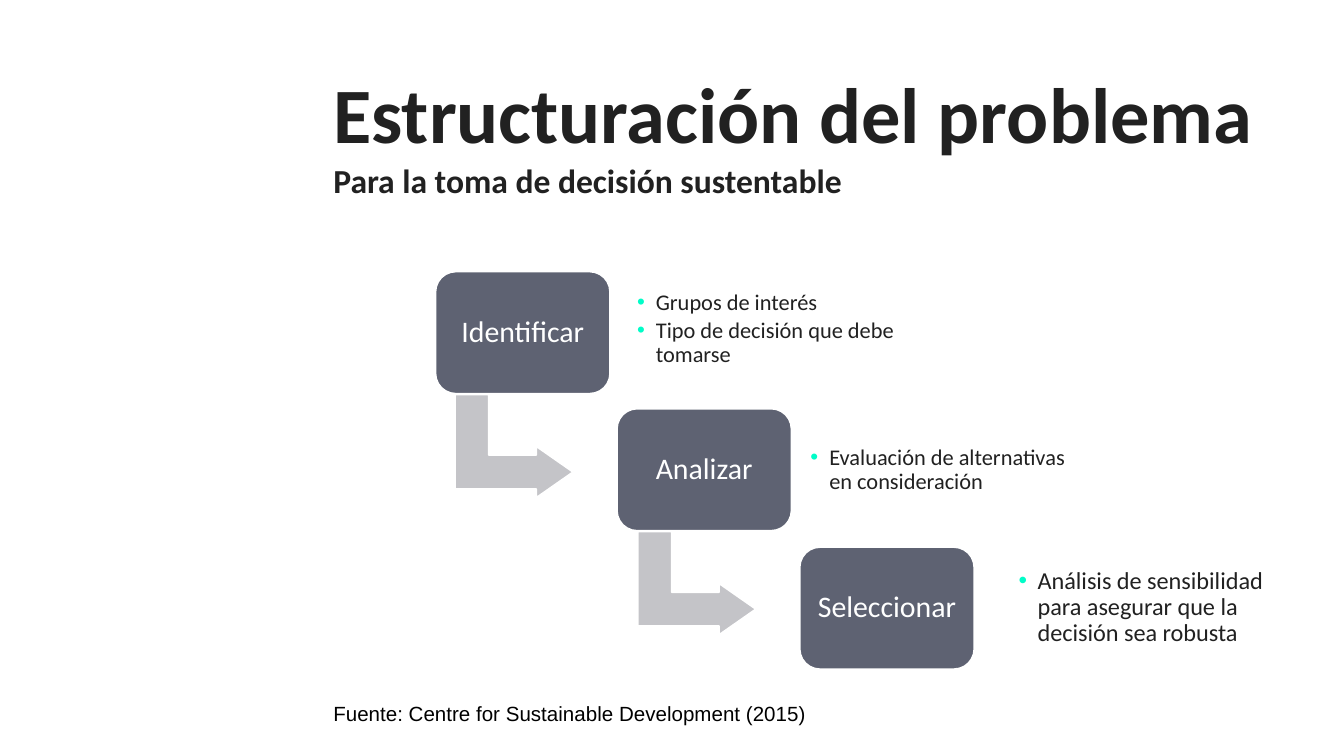
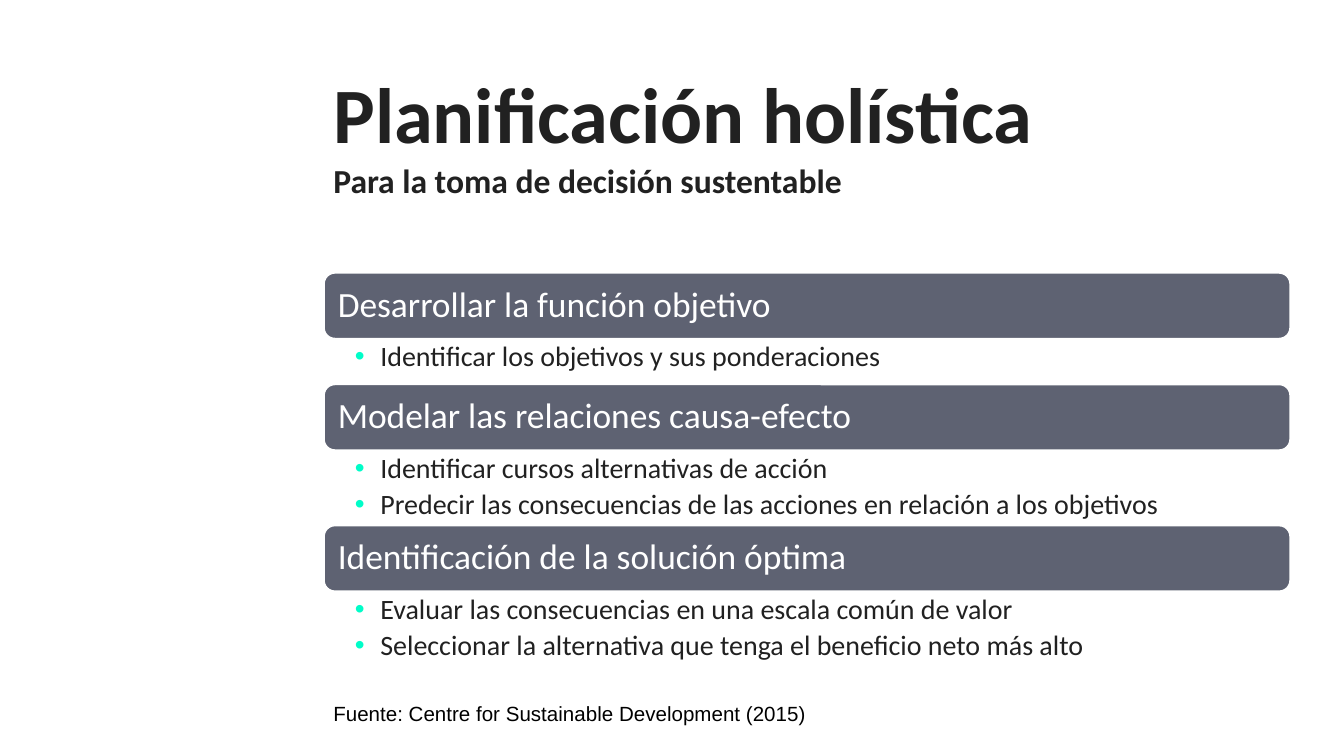
from lxml import etree
from pptx import Presentation
from pptx import util as u
from pptx.dml.color import RGBColor
from pptx.enum import shapes, text
from pptx.oxml.ns import qn

PX = 9144  # 100 px to the inch
INK = {"dark": "212121", "slate": "5E6272", "grey": "C4C4C8",
       "mint": "00FDC8", "white": "FFFFFF", "black": "000000"}
FORM = shapes.MSO_SHAPE
MID, TOP = text.MSO_ANCHOR.MIDDLE, text.MSO_ANCHOR.TOP
LEFT, MID_X = text.PP_ALIGN.LEFT, text.PP_ALIGN.CENTER


def draw(slide, at, form=None, fill="slate"):
    """Add a filled shape, or a text box when no form is given."""
    spot = [n * PX for n in at]
    if form is None:
        return slide.shapes.add_textbox(*spot)
    item = slide.shapes.add_shape(form, *spot)
    item.shadow.inherit = False
    item.fill.solid()
    item.fill.fore_color.rgb = RGBColor.from_string(INK[fill])
    item.line.color.rgb = RGBColor.from_string(INK["white"])
    item.line.width = u.Pt(1)
    return item


def write(item, lines, size, ink="dark", pad=(7, 7, 7, 7), dent=0, gap=0,
          anchor=MID, align=LEFT, font="Calibri", lead=0.9, bold=False):
    """Fill an item with paragraphs; a dent above 0 makes them bullets."""
    frame = item.text_frame
    frame.word_wrap = True
    frame.vertical_anchor = anchor
    (frame.margin_left, frame.margin_top,
     frame.margin_right, frame.margin_bottom) = [n * PX for n in pad]
    for i, line in enumerate(lines):
        para = frame.add_paragraph() if i else frame.paragraphs[0]
        para.text = line
        para.alignment = align
        para.line_spacing = lead
        if i and gap:
            para.space_before = u.Pt(gap)
        if dent:
            para.level = 1
            props = para._p.get_or_add_pPr()
            props.set("marL", str(dent * PX))
            props.set("indent", str(-dent * PX))
            tint = etree.SubElement(props, qn("a:buClr"))
            etree.SubElement(tint, qn("a:srgbClr"), val=INK["mint"])
            etree.SubElement(props, qn("a:buFont"), typeface="Arial")
            etree.SubElement(props, qn("a:buChar"), char="•")
        para.font.name = font
        para.font.size = u.Pt(size)
        para.font.bold = bold
        para.font.color.rgb = RGBColor.from_string(INK[ink])


deck = Presentation()
deck.slide_width = 1000 * PX
deck.slide_height = deck.slide_width * 9 // 16

# Title and source line on both slides
pages = []
for head in ["Estructuración del problema", "Planificación holística"]:
    page = deck.slides.add_slide(deck.slide_layouts[6])
    title = draw(page, (241, 47, 719, 128))
    write(title, [head + "\vPara la toma de decisión sustentable"], 18,
          pad=(7, 4, 7, 4), anchor=TOP, lead=0.99, bold=True)
    title.text_frame.paragraphs[0].runs[0].font.size = u.Pt(42)
    write(draw(page, (241, 516, 465, 30)),
          ["Fuente: Centre for Sustainable Development (2015)"], 11, "black",
          pad=(7, 4, 7, 4), font="Arial", lead=1.0)
    pages.append(page)
first, second = pages

# Slide 1: steps going down to the right
steps = [
    ("Identificar", ["Grupos de interés", "Tipo de decisión que debe tomarse"],
     (467, 208, 210, 74), 12),
    ("Analizar", ["Evaluación de alternativas en consideración"],
     (596, 313, 219, 74), 12),
    ("Seleccionar",
     ["Análisis de sensibilidad para asegurar que la decisión sea robusta"],
     (751, 415, 208, 74), 13),
]
for i, (name, notes, spot, size) in enumerate(steps):
    x, y = 324 + 271 * i // 2, 202 + 205 * i // 2
    if i < len(steps) - 1:
        arrow = draw(first, (x + 20 + i, y + 86, 77, 88),
                     FORM.BENT_UP_ARROW, "grey")
        arrow.rotation = 90
        for k, part in enumerate([0.328, 0.25, 0.358]):
            arrow.adjustments[k] = part
    box = draw(first, (x, y, 130, 91), FORM.ROUNDED_RECTANGLE)
    write(box, [name], 16, "white", align=MID_X)
    write(draw(first, spot), notes, size, dent=14, gap=2)

# Slide 2: bands, each with its bullets below
bands = [
    ("Desarrollar la función objetivo",
     ["Identificar los objetivos y sus ponderaciones"], 34),
    ("Modelar las relaciones causa-efecto",
     ["Identificar cursos alternativas de acción",
      "Predecir las consecuencias de las acciones en relación a los objetivos"],
     56),
    ("Identificación de la solución óptima",
     ["Evaluar las consecuencias en una escala común de valor",
      "Seleccionar la alternativa que tenga el beneficio neto más alto"], 56),
]
y = 203
for name, notes, tall in bands:
    band = draw(second, (241, y, 719, 49), FORM.ROUNDED_RECTANGLE)
    write(band, [name], 19, "white", pad=(8, 8, 8, 8))
    write(draw(second, (241, y + 49, 719, tall)), notes, 15,
          pad=(23, 3, 15, 3), dent=19, gap=3, anchor=TOP)
    y += 49 + tall

deck.save("out.pptx")
